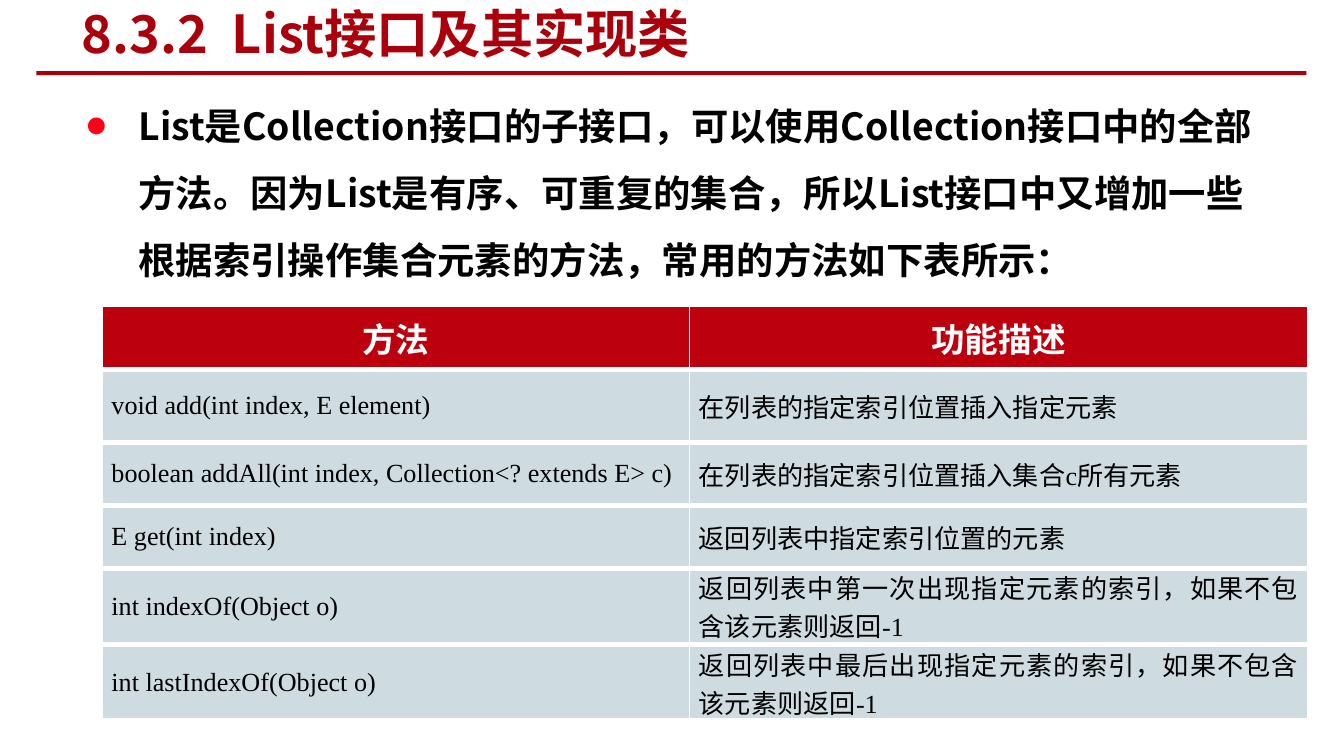
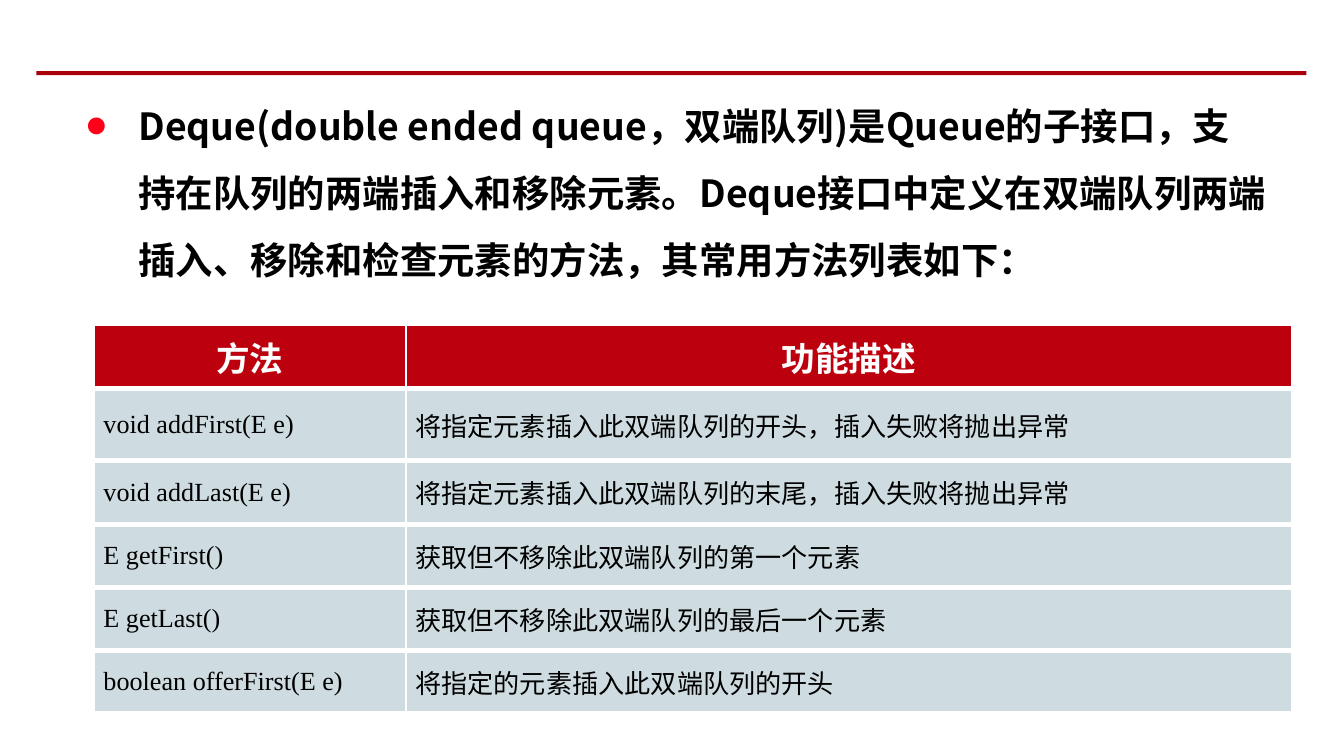
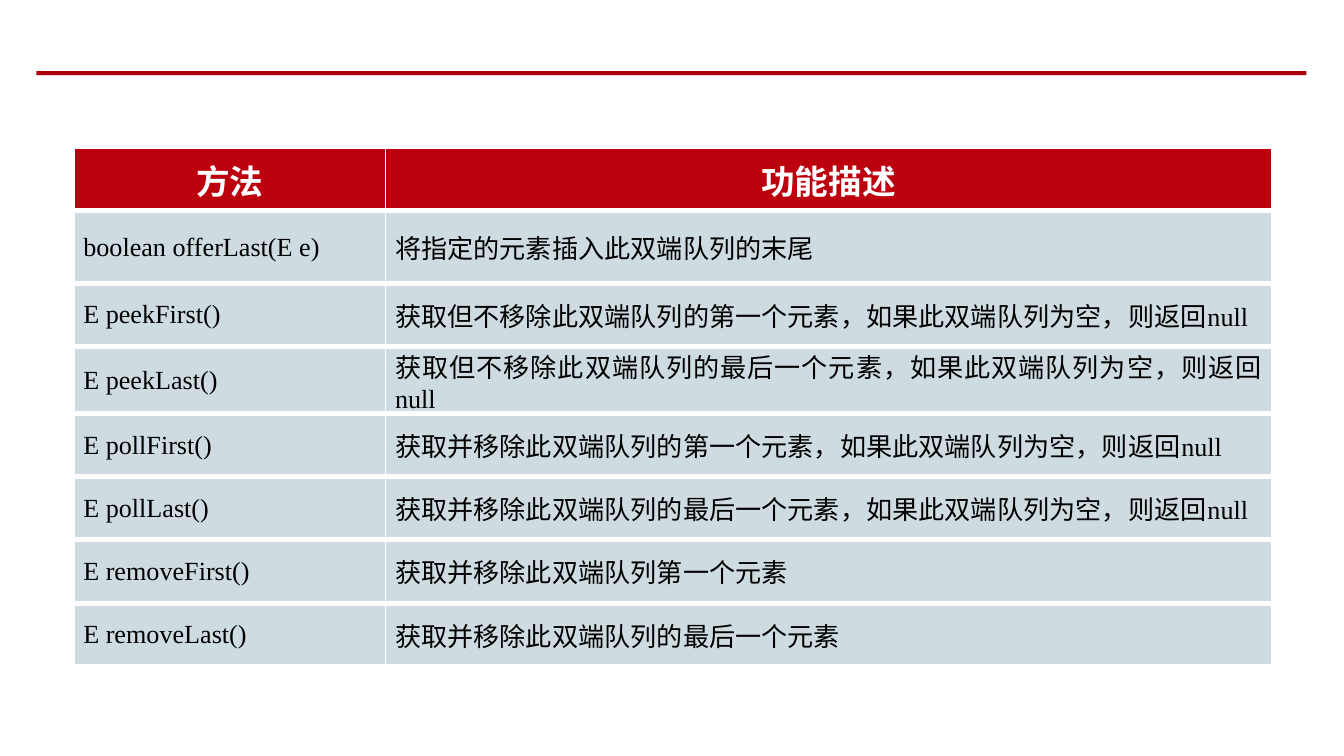
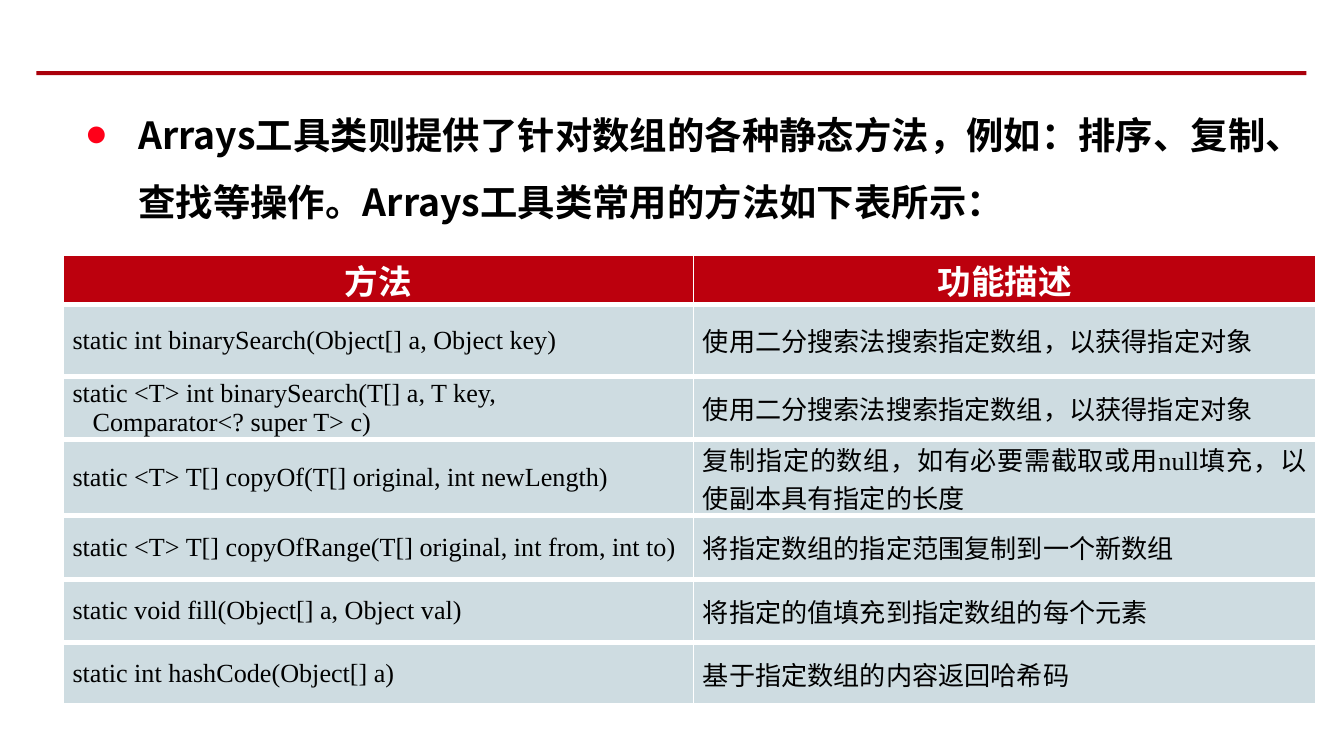
from dataclasses import dataclass

import pptx
import pptx.dml.color
import pptx.enum.shapes
import pptx.enum.text
import pptx.oxml
import pptx.oxml.ns
import pptx.util
from pptx.util import Inches

RED, HEAD, BAND = "AA000B", "BC000D", "CEDCE1"
BULLET, BLACK, WHITE = "FF0019", "000000", "FFFFFF"
SANS, SERIF = "Noto Sans CJK SC", "Times New Roman"
ALIGN = pptx.enum.text.PP_ALIGN
MIDDLE = pptx.enum.text.MSO_ANCHOR.MIDDLE
HEADINGS = ("方法", "功能描述")
ROW, FIRST_ROW = 0.47, 0.54


@dataclass
class MethodTable:
    """Place, column widths and rows of one method table."""
    left: float
    top: float
    cols: tuple[float, float]
    rows: list[tuple[str, str]]
    head: float = ROW


@dataclass
class Page:
    """Content of one slide."""
    table: MethodTable
    title: str = ""
    body: str = ""
    body_top: float = 0.55
    body_height: float = 2.19


def rgb(value: str) -> pptx.dml.color.RGBColor:
    """Turn a hex string into a colour."""
    return pptx.dml.color.RGBColor.from_string(value)


def add_xml(parent, xml: str) -> None:
    """Append one drawing element written as XML without a namespace."""
    ns = pptx.oxml.ns.nsdecls("a")
    tag, rest = xml.split(" ", 1)
    parent.append(pptx.oxml.parse_xml(f"{tag} {ns} {rest}"))


def write(tf, text: str, *, size: float, color: str, latin: str = SANS,
          bold: bool = False, align=ALIGN.LEFT, indent: float = 0) -> None:
    """Write text, one paragraph a line; later lines get the indent."""
    tf.word_wrap = True
    for i, line in enumerate(text.split("\n")):
        p = tf.add_paragraph() if i else tf.paragraphs[0]
        p.alignment = align
        if i and indent:
            p._p.get_or_add_pPr().set("indent", str(Inches(indent)))
        r = p.add_run()
        r.text = line
        r.font.size = pptx.util.Pt(size)
        r.font.bold = bold
        r.font.color.rgb = rgb(color)
        r.font.name = latin
        add_xml(r._r.get_or_add_rPr(), f'<a:ea typeface="{SANS}"/>')


def place(sp, left: float, top: float, width: float, height: float) -> None:
    """Move and size a placeholder given in inches."""
    sp.left, sp.top = Inches(left), Inches(top)
    sp.width, sp.height = Inches(width), Inches(height)
    sp.text_frame.auto_size = pptx.enum.text.MSO_AUTO_SIZE.NONE


def add_rule(s) -> None:
    """Draw the red line below the title area."""
    sp = s.shapes.add_shape(pptx.enum.shapes.MSO_SHAPE.RECTANGLE, Inches(0.27),
                            Inches(0.53), Inches(9.45), Inches(0.03))
    sp.shadow.inherit = False
    sp.fill.solid()
    sp.fill.fore_color.rgb = rgb(RED)
    sp.line.fill.background()


def add_title(sp, text: str) -> None:
    """Fill the title placeholder."""
    place(sp, 0.51, 0.02, 5.3, 0.45)
    sp.text_frame.vertical_anchor = MIDDLE
    write(sp.text_frame, text, size=28, color=RED, bold=True)


def add_body(sp, page: Page) -> None:
    """Fill the body placeholder with one bulleted paragraph."""
    place(sp, 0.55, page.body_top, 8.98, page.body_height)
    write(sp.text_frame, page.body, size=20, color=BLACK, bold=True)
    p = sp.text_frame.paragraphs[0]
    p.line_spacing = 1.5
    pPr = p._p.get_or_add_pPr()
    pPr.set("marL", str(Inches(0.38)))
    pPr.set("indent", str(Inches(-0.38)))
    add_xml(pPr, f'<a:buClr ><a:srgbClr val="{BULLET}"/></a:buClr>')
    add_xml(pPr, '<a:buSzPct val="50000"/>')
    add_xml(pPr, f'<a:buFont typeface="{SANS}"/>')
    add_xml(pPr, '<a:buChar char="●"/>')


def format_cell(cell, fill: str, top_line: float) -> None:
    """Set margins, white borders and fill of a cell."""
    cell.margin_left = cell.margin_right = Inches(0.07)
    cell.margin_top = cell.margin_bottom = 0
    cell.vertical_anchor = MIDDLE
    tcPr = cell._tc.get_or_add_tcPr()
    for side, width in (("L", 1), ("R", 1), ("T", top_line), ("B", 3)):
        add_xml(tcPr, f'<a:ln{side} w="{pptx.util.Pt(width)}"><a:solidFill>'
                      f'<a:srgbClr val="{WHITE}"/></a:solidFill></a:ln{side}>')
    cell.fill.solid()
    cell.fill.fore_color.rgb = rgb(fill)


def add_method_table(s, methods: MethodTable) -> None:
    """Add a table of methods and their descriptions."""
    rows = [HEADINGS, *methods.rows]
    heights = [methods.head, FIRST_ROW] + [ROW] * (len(rows) - 2)
    tbl = s.shapes.add_table(
        len(rows), 2, Inches(methods.left), Inches(methods.top),
        Inches(sum(methods.cols)), Inches(sum(heights))).table
    for col, width in zip(tbl.columns, methods.cols):
        col.width = Inches(width)
    for i, (texts, height) in enumerate(zip(rows, heights)):
        tbl.rows[i].height = Inches(height)
        for j, text in enumerate(texts):
            cell = tbl.cell(i, j)
            if i == 0:
                format_cell(cell, HEAD, 1)
                write(cell.text_frame, text, size=18, color=WHITE, latin=SERIF,
                      bold=True, align=ALIGN.CENTER)
            else:
                format_cell(cell, BAND, 3)
                write(cell.text_frame, text, size=14, color=BLACK, latin=SERIF,
                      align=ALIGN.JUSTIFY, indent=0.15)


def add_page(prs, page: Page) -> None:
    """Build one slide and drop the placeholders it does not use."""
    s = prs.slides.add_slide(prs.slide_layouts[1])
    title, body = s.shapes.title, s.placeholders[1]
    add_rule(s)
    if page.title:
        add_title(title, page.title)
    else:
        title.element.getparent().remove(title.element)
    if page.body:
        add_body(body, page)
    else:
        body.element.getparent().remove(body.element)
    add_method_table(s, page.table)


PAGES = [
    Page(
        title="8.3.2  List接口及其实现类",
        body="List是Collection接口的子接口，可以使用Collection接口中的全部方法。"
             "因为List是有序、可重复的集合，所以List接口中又增加一些根据索引操作"
             "集合元素的方法，常用的方法如下表所示：",
        table=MethodTable(0.76, 2.28, (4.37, 4.6), [
            ("void add(int index, E element)", "在列表的指定索引位置插入指定元素"),
            ("boolean addAll(int index, Collection<? extends E> c)",
             "在列表的指定索引位置插入集合c所有元素"),
            ("E get(int index)", "返回列表中指定索引位置的元素"),
            ("int indexOf(Object o)",
             "返回列表中第一次出现指定元素的索引，如果不包含该元素则返回-1"),
            ("int lastIndexOf(Object o)",
             "返回列表中最后出现指定元素的索引，如果不包含该元素则返回-1"),
        ])),
    Page(
        body="Deque(double ended queue，双端队列)是Queue的子接口，支持在队列的"
             "两端插入和移除元素。Deque接口中定义在双端队列两端插入、移除和检查"
             "元素的方法，其常用方法列表如下：",
        body_height=3.36,
        table=MethodTable(0.7, 2.42, (2.32, 6.59), [
            ("void addFirst(E e)", "将指定元素插入此双端队列的开头，插入失败将抛出异常"),
            ("void addLast(E e)", "将指定元素插入此双端队列的末尾，插入失败将抛出异常"),
            ("E getFirst()", "获取但不移除此双端队列的第一个元素"),
            ("E getLast()", "获取但不移除此双端队列的最后一个元素"),
            ("boolean offerFirst(E e)", "将指定的元素插入此双端队列的开头"),
        ])),
    Page(
        table=MethodTable(0.55, 1.1, (2.32, 6.59), [
            ("boolean offerLast(E e)", "将指定的元素插入此双端队列的末尾"),
            ("E peekFirst()",
             "获取但不移除此双端队列的第一个元素，如果此双端队列为空，则返回null"),
            ("E peekLast()",
             "获取但不移除此双端队列的最后一个元素，如果此双端队列为空，则返回null"),
            ("E pollFirst()",
             "获取并移除此双端队列的第一个元素，如果此双端队列为空，则返回null"),
            ("E pollLast()",
             "获取并移除此双端队列的最后一个元素，如果此双端队列为空，则返回null"),
            ("E removeFirst()", "获取并移除此双端队列第一个元素"),
            ("E removeLast()", "获取并移除此双端队列的最后一个元素"),
        ])),
    Page(
        body="Arrays工具类则提供了针对数组的各种静态方法，例如：排序、复制、查找等"
             "操作。Arrays工具类常用的方法如下表所示：",
        body_top=0.62, body_height=4.38,
        table=MethodTable(0.47, 1.9, (4.69, 4.63), [
            ("static int binarySearch(Object[] a, Object key)",
             "使用二分搜索法搜索指定数组，以获得指定对象"),
            ("static <T> int binarySearch(T[] a, T key, \nComparator<? super T> c)",
             "使用二分搜索法搜索指定数组，以获得指定对象"),
            ("static <T> T[] copyOf(T[] original, int newLength)",
             "复制指定的数组，如有必要需截取或用null填充，以使副本具有指定的长度"),
            ("static <T> T[] copyOfRange(T[] original, int from, int to)",
             "将指定数组的指定范围复制到一个新数组"),
            ("static void fill(Object[] a, Object val)",
             "将指定的值填充到指定数组的每个元素"),
            ("static int hashCode(Object[] a)", "基于指定数组的内容返回哈希码"),
        ], head=0.23)),
]

prs = pptx.Presentation()
prs.slide_width = Inches(10)
prs.slide_height = prs.slide_width * 9 // 16
for page in PAGES:
    add_page(prs, page)
prs.save("out.pptx")
